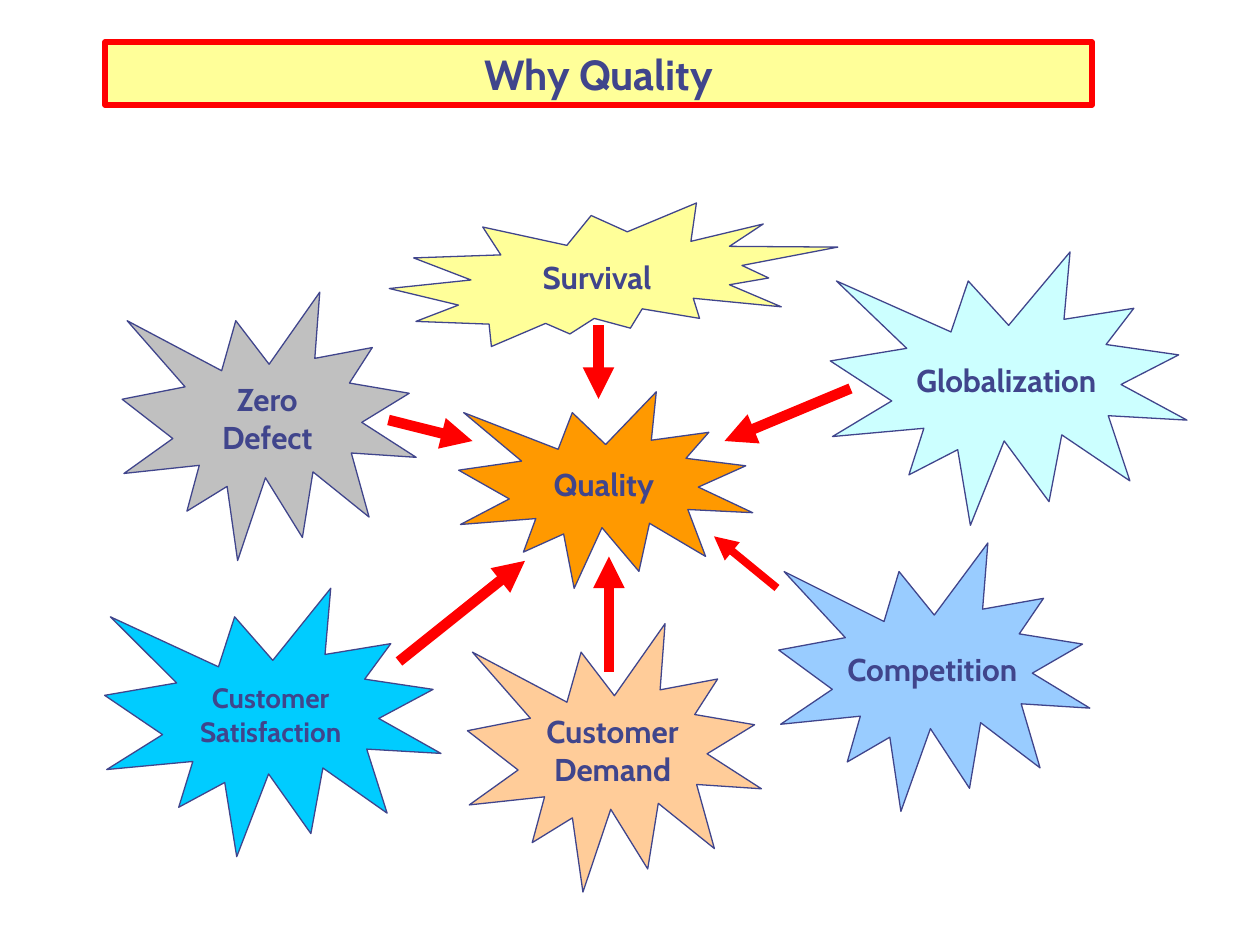
from dataclasses import dataclass

from lxml.etree import SubElement
from pptx import Presentation
from pptx.dml.color import RGBColor
from pptx.enum.shapes import MSO_CONNECTOR, MSO_SHAPE
from pptx.enum.text import MSO_ANCHOR, MSO_AUTO_SIZE, PP_ALIGN
from pptx.oxml.ns import qn
from pptx.util import Pt


@dataclass(frozen=True)
class Theme:
    font: str = "Cabin"
    ink: str = "40458C"
    red: str = "FF0000"
    yellow: str = "FFFF99"
    grey: str = "C0C0C0"
    blue: str = "99CCFF"
    orange: str = "FF9900"
    peach: str = "FFCC99"
    aqua: str = "CCFFFF"
    cyan: str = "00CCFF"
    title_size: float = 24
    label_size: float = 18
    small_size: float = 16


THEME = Theme()

BURSTS = [
    (["Survival"], (222.5, 116, 256.3, 82), THEME.yellow, MSO_SHAPE.EXPLOSION2, THEME.label_size),
    (["Zero", "Defect"], (69.8, 167, 168, 153.4), THEME.grey, MSO_SHAPE.EXPLOSION1, THEME.label_size),
    (["Competition"], (445, 310.3, 177.8, 153.4), THEME.blue, MSO_SHAPE.EXPLOSION1, THEME.label_size),
    (["Quality"], (262.1, 223.9, 168, 112.3), THEME.orange, MSO_SHAPE.EXPLOSION1, THEME.label_size),
    (["Customer", "Demand"], (267.1, 356.4, 168, 153.4), THEME.peach, MSO_SHAPE.EXPLOSION1, THEME.label_size),
    (["Globalization"], (474.5, 144, 203.8, 156.2), THEME.aqua, MSO_SHAPE.EXPLOSION1, THEME.label_size),
    (["Customer", "Satisfaction"], (59.8, 336.2, 192.2, 153.4), THEME.cyan, MSO_SHAPE.EXPLOSION1, THEME.small_size),
]

ARROWS = [
    ((222, 240), (270, 252), 6),
    ((228, 378), (300, 320.5), 6),
    ((486, 222), (414, 252), 6),
    ((444, 336), (408, 306.5), 4.5),
    ((348, 384), (348, 318), 6),
    ((342, 186), (342, 228), 6),
]


def paint(sp, fill, line, width):
    sp.fill.solid()
    sp.fill.fore_color.rgb = RGBColor.from_string(fill)
    sp.line.color.rgb = RGBColor.from_string(line)
    sp.line.width = Pt(width)


def write(tf, lines, size):
    tf.auto_size = MSO_AUTO_SIZE.NONE
    tf.text = "\n".join(lines)
    for p in tf.paragraphs:
        p.alignment = PP_ALIGN.CENTER
        p.space_before = Pt(0)
        p.line_spacing = 1.0
        p.font.name = THEME.font
        p.font.size = Pt(size)
        p.font.bold = True
        p.font.color.rgb = RGBColor.from_string(THEME.ink)


def add_title(s, text, box):
    sp = s.shapes.title
    sp.left, sp.top, sp.width, sp.height = map(Pt, box)
    paint(sp, THEME.yellow, THEME.red, 3)
    write(sp.text_frame, [text], THEME.title_size)
    sp.text_frame.vertical_anchor = MSO_ANCHOR.TOP


def add_burst(s, lines, box, fill, kind, size):
    sp = s.shapes.add_shape(kind, *map(Pt, box))
    sp.shadow.inherit = False
    paint(sp, fill, THEME.ink, 0.75)
    write(sp.text_frame, lines, size)
    sp.text_frame.word_wrap = False
    sp.text_frame.vertical_anchor = MSO_ANCHOR.MIDDLE


def add_arrow(s, start, end, width):
    sp = s.shapes.add_connector(MSO_CONNECTOR.STRAIGHT, *map(Pt, start + end))
    sp.line.color.rgb = RGBColor.from_string(THEME.red)
    sp.line.width = Pt(width)
    SubElement(sp.line._get_or_add_ln(), qn("a:tailEnd"), type="triangle")
    SubElement(sp._element.spPr, qn("a:effectLst"))


def add_quality_map(s):
    for burst in BURSTS:
        add_burst(s, *burst)
    for arrow in ARROWS:
        add_arrow(s, *arrow)


def main():
    prs = Presentation()
    prs.slide_width, prs.slide_height = Pt(720), Pt(540)
    s = prs.slides.add_slide(prs.slide_layouts[5])
    add_title(s, "Why Quality", (60, 24, 564, 36))
    add_quality_map(s)
    prs.save("out.pptx")


if __name__ == "__main__":
    main()
